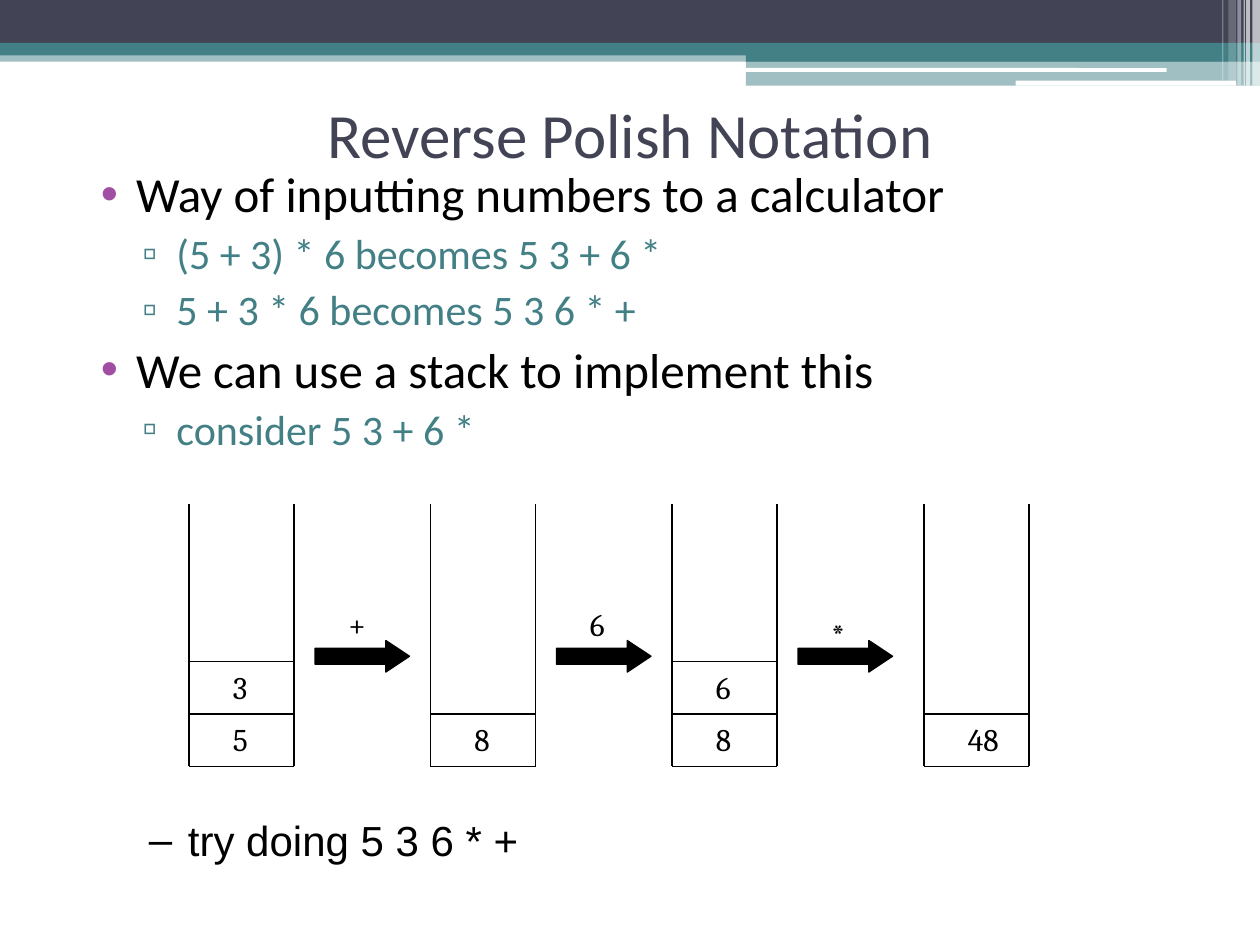
from lxml import etree
from pptx import Presentation
from pptx.dml.color import RGBColor
from pptx.enum.shapes import MSO_CONNECTOR, MSO_SHAPE
from pptx.enum.text import MSO_ANCHOR, MSO_AUTO_SIZE, PP_ALIGN
from pptx.oxml.ns import qn
from pptx.util import Inches, Pt

RECT = MSO_SHAPE.RECTANGLE
ROUNDED = MSO_SHAPE.ROUNDED_RECTANGLE
ARROW = MSO_SHAPE.RIGHT_ARROW
STRAIGHT = MSO_CONNECTOR.STRAIGHT
CENTER = PP_ALIGN.CENTER
MIDDLE = MSO_ANCHOR.MIDDLE
FIT_SHAPE = MSO_AUTO_SIZE.SHAPE_TO_FIT_TEXT
NO_FIT = MSO_AUTO_SIZE.NONE

FINE = Inches(0.01)
CELL = Inches(1 / 12)

NAVY, TEAL, PURPLE, WHITE, BLACK = "424456", "438086", "A04DA3", "FFFFFF", "000000"
POINT = dict(level=0, mark="•", mark_color=PURPLE, indent=(0.4, -0.28),
             size=28, color=BLACK, font="Calibri")
EXAMPLE = dict(level=1, mark="▫", mark_color=TEAL, indent=(0.72, -0.27),
               size=24, color=TEAL, font="Calibri")
EXERCISE = dict(level=1, mark="–", mark_color=BLACK, indent=(0.81, -0.31),
                size=24, color=BLACK, font="Arial")


def rgb(hex_color):
    return RGBColor.from_string(hex_color)


def grid(unit, *lengths):
    return [round(length * unit) for length in lengths]


class StackSlide:
    line_width = Pt(0.75)
    top, bottom, width, cell_height = 48, 73, 10, 5

    def __init__(self, presentation):
        self.slide = presentation.slides.add_slide(presentation.slide_layouts[1])
        self.shapes = self.slide.shapes

    def style(self, paragraph, size, color, font):
        for run in paragraph.runs:
            run.font.size = Pt(size)
            run.font.name = font
            run.font.color.rgb = rgb(color)

    def place(self, placeholder, *box):
        (placeholder.left, placeholder.top,
         placeholder.width, placeholder.height) = grid(FINE, *box)

    def title(self, text, *box):
        heading = self.shapes.title
        self.place(heading, *box)
        frame = heading.text_frame
        frame.text = text
        frame.vertical_anchor = MIDDLE
        frame.auto_size = NO_FIT
        frame.paragraphs[0].alignment = CENTER
        self.style(frame.paragraphs[0], 36, NAVY, "Calibri")

    def bullets(self, frame, items):
        frame.word_wrap = True
        frame.auto_size = NO_FIT
        frame.text = "\n".join(text for text, _ in items)
        for index, (paragraph, (_, look)) in enumerate(zip(frame.paragraphs, items)):
            paragraph.level = look["level"]
            paragraph.space_before = Pt(3 if index else 0)
            properties = paragraph._p.get_or_add_pPr()
            margin, hanging = grid(Inches(1), *look["indent"])
            properties.set("marL", str(margin))
            properties.set("indent", str(hanging))
            mark_color = etree.SubElement(properties, qn("a:buClr"))
            etree.SubElement(mark_color, qn("a:srgbClr"), val=look["mark_color"])
            etree.SubElement(properties, qn("a:buFont"), typeface="Arial")
            etree.SubElement(properties, qn("a:buChar"), char=look["mark"])
            self.style(paragraph, look["size"], look["color"], look["font"])

    def body(self, items, *box):
        outline = self.slide.placeholders[1]
        self.place(outline, *box)
        self.bullets(outline.text_frame, items)

    def exercise(self, text, *box):
        note = self.shapes.add_textbox(*grid(CELL, *box))
        self.bullets(note.text_frame, [(text, EXERCISE)])

    def bar(self, box, color, opacity=100, kind=RECT):
        band = self.shapes.add_shape(kind, *grid(FINE, *box))
        band.shadow.inherit = False
        band.fill.solid()
        band.fill.fore_color.rgb = rgb(color)
        band.line.fill.background()
        if opacity < 100:
            tint = band.fill._xPr.find(".//" + qn("a:srgbClr"))
            etree.SubElement(tint, qn("a:alpha"), val=str(opacity * 1000))

    def line(self, *ends):
        edge = self.shapes.add_connector(STRAIGHT, *grid(CELL, *ends))
        edge.line.color.rgb = rgb(BLACK)
        edge.line.width = self.line_width
        etree.SubElement(edge._element.spPr, qn("a:effectLst"))

    def label(self, text, left, top, width=4):
        caption = self.shapes.add_textbox(*grid(CELL, left, top, width, 4.8))
        frame = caption.text_frame
        frame.text = text
        frame.word_wrap = False
        frame.auto_size = FIT_SHAPE
        self.style(frame.paragraphs[0], 18, BLACK, "Cambria")

    def stack(self, left, values):
        right = left + self.width
        for wall in (left, right):
            self.line(wall, self.top, wall, self.bottom)
        self.line(left, self.bottom, right, self.bottom)
        for depth, value in enumerate(values, 1):
            cell_top = self.bottom - depth * self.cell_height
            self.line(left, cell_top, right, cell_top)
            self.label(value, left + 3, cell_top, 2.4 + 1.7 * len(value))

    def step(self, left, token, token_top):
        arrow = self.shapes.add_shape(ARROW, *grid(CELL, left, 61, 9, 3))
        arrow.adjustments[0], arrow.adjustments[1] = 0.5, 0.75
        arrow.shadow.inherit = False
        arrow.fill.solid()
        arrow.fill.fore_color.rgb = rgb(BLACK)
        arrow.line.color.rgb = rgb(BLACK)
        arrow.line.width = self.line_width
        self.label(token, left + 2, token_top)


def main():
    presentation = Presentation()
    presentation.slide_width, presentation.slide_height = Inches(10), Inches(7.5)
    page = StackSlide(presentation)

    for box, color, opacity in [
        ((0, 40, 1000, 9), TEAL, 50),
        ((0, 0, 1000, 34), NAVY, 100),
        ((0, 34, 1000, 10), TEAL, 100),
        ((592, 39, 408, 10), TEAL, 100),
        ((592, 48, 408, 20), TEAL, 50),
    ]:
        page.bar(box, color, opacity)
    for box in [(591, 54, 335, 3), (806, 64, 175, 4)]:
        page.bar(box, WHITE, kind=ROUNDED)
    for left, width, height, opacity in [
        (994, 6, 68, 65), (989, 3, 68, 65), (987, 1, 68, 60),
        (982, 3, 68, 40), (975, 6, 64, 20), (970, 1, 64, 30),
    ]:
        page.bar((left, 0, width, height), WHITE, opacity)

    page.title("Reverse Polish Notation", 50, 67, 900, 78)
    page.body([
        ("Way of inputting numbers to a calculator", POINT),
        ("(5 + 3) * 6 becomes 5 3 + 6 *", EXAMPLE),
        ("5 + 3 * 6 becomes 5 3 6 * +", EXAMPLE),
        ("We can use a stack to implement this", POINT),
        ("consider 5 3 + 6 *", EXAMPLE),
    ], 58, 125, 900, 258)

    for left, values in [(18, "53"), (41, "8"), (64, "86"), (88, ["48"])]:
        page.stack(left, values)
    for left, token, token_top in [(30, "+", 57), (53, "6", 57), (76, "*", 58)]:
        page.step(left, token, token_top)
    page.exercise("try doing 5 3 6 * +", 7, 77, 106, 10)

    presentation.save("out.pptx")


if __name__ == "__main__":
    main()
